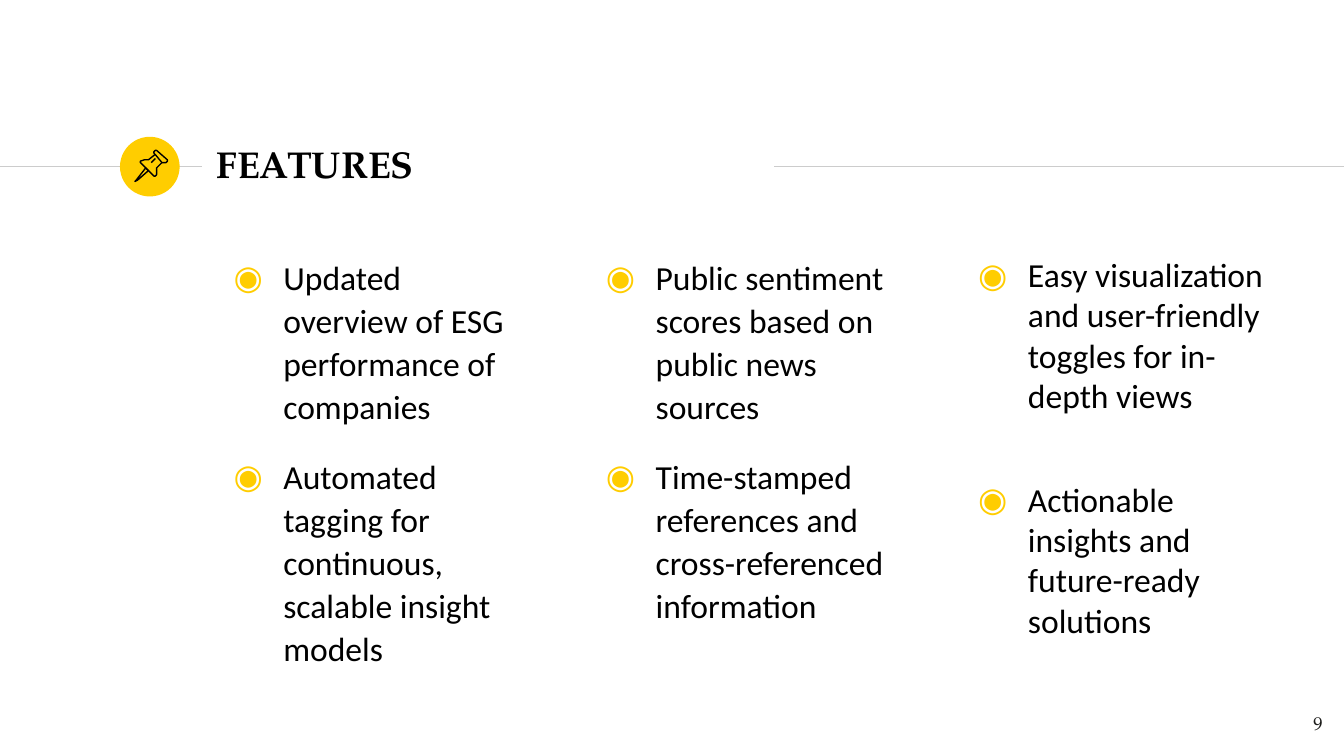
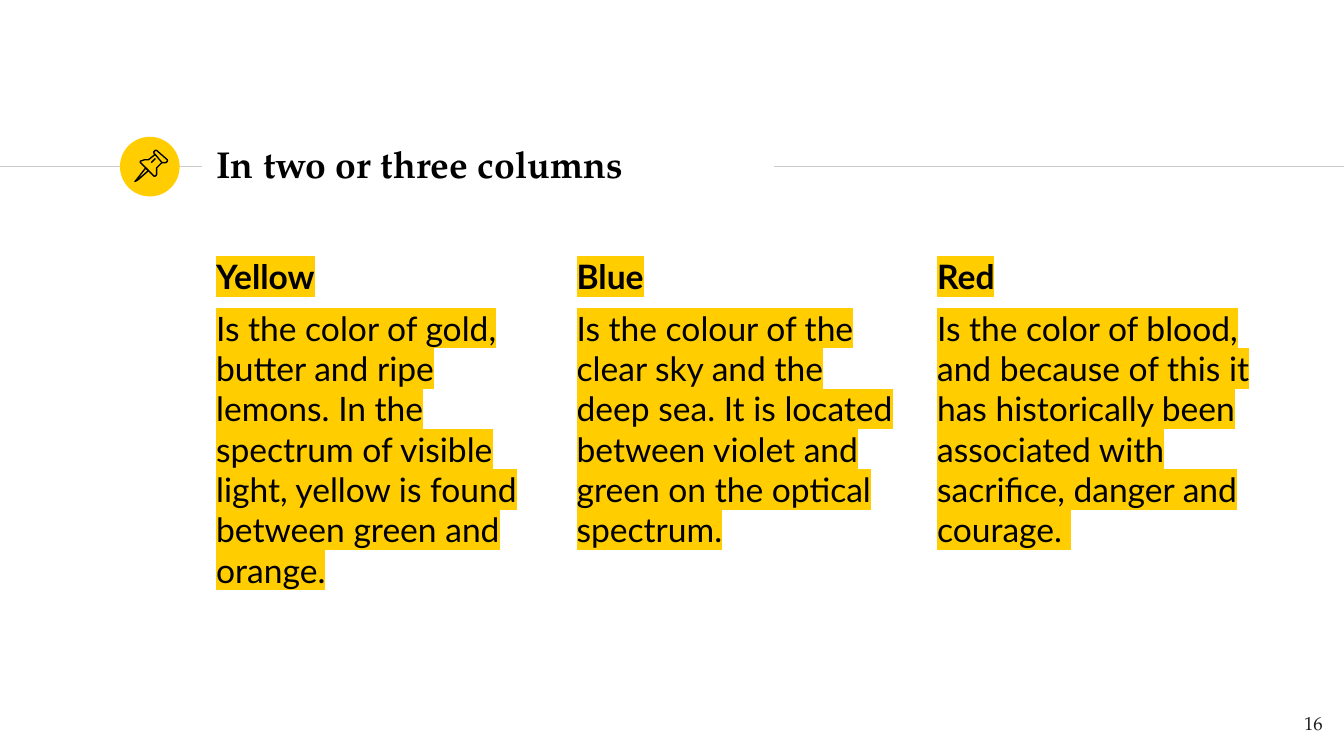
from dataclasses import dataclass

import lxml.etree
import pptx
import pptx.dml.color
import pptx.enum.shapes
import pptx.enum.text
import pptx.oxml.ns
import pptx.util

CELL = pptx.util.Inches(0.1)  # the slide is a grid of 100 columns by 56.25 rows
COLUMNS, ROWS = 100, 56.25
BADGE_UNITS = 44  # units across the badge, in which the pin is outlined


@dataclass(frozen=True)
class Theme:
    accent: str = "FFCD00"
    rule: str = "CCCCCC"
    ink: str = "000000"
    number_ink: str = "1D1D1B"
    heading_font: str = "TeX Gyre Pagella"
    bullet_font: str = "Calibri"
    column_font: str = "Lato"
    title_size: int = 20
    body_size: int = 18
    number_size: int = 10
    line_width: float = 0.75


@dataclass(frozen=True)
class Box:
    """A region in grid cells."""
    left: float
    top: float
    width: float
    height: float

    def emu(self):
        return [round(n * CELL) for n in (self.left, self.top, self.width, self.height)]

    def columns(self, count, step):
        return [Box(self.left + i * step, self.top, self.width, self.height)
                for i in range(count)]


THEME = Theme()
HEADER = Box(0, 9.8, COLUMNS, 4.8)
NUMBER = Box(93.4, 51.95, 6, 4.3)
FEATURES = Box(15.1, 17.9, 25.5, 34.1)
COLOURS = Box(15.1, 18.05, 25.5, 34.1)

# Each outline of the pin: its points, and whether it is closed
PIN = [
    ([(19, 23), (12, 32), (11, 33), (13, 32), (21, 25)], True),
    ([(26, 13), (31, 19), (34, 19), (35, 18), (35, 17), (27, 10), (26, 10),
      (25, 11), (25, 12)], True),
    ([(26, 13), (21, 17), (18, 17), (15, 18), (15, 19), (25, 29), (26, 29),
      (27, 28), (27, 23), (31, 19)], False),
    ([(23, 19), (26, 16)], False),
]

# Each column: its bullets, line spacing, space after, space between bullets
FEATURE_COLUMNS = [
    (["Updated overview of ESG performance of companies",
      "Automated tagging for continuous, scalable insight models"], 1.07, 8, 6),
    (["Public sentiment scores based on public news sources",
      "Time-stamped references and cross-referenced information"], 1.07, 8, 6),
    (["Easy visualization and user-friendly toggles for in-depth views",
      "Actionable insights and future-ready solutions"], 1.0, 0, 34),
]

COLOUR_COLUMNS = [
    ("Yellow", "Is the color of gold, butter and ripe lemons. In the spectrum of "
               "visible light, yellow is found between green and orange."),
    ("Blue", "Is the colour of the clear sky and the deep sea. It is located between "
             "violet and green on the optical spectrum."),
    ("Red", "Is the color of blood, and because of this it has historically been "
            "associated with sacrifice, danger and courage. "),
]


def rgb(value):
    return pptx.dml.color.RGBColor.from_string(value)


def add_colour_element(parent, tag, value):
    element = lxml.etree.SubElement(parent, pptx.oxml.ns.qn(tag))
    lxml.etree.SubElement(element, pptx.oxml.ns.qn("a:srgbClr"), val=value)
    return element


def add_run(paragraph, words, font, size, colour=THEME.ink, bold=False):
    run = paragraph.add_run()
    run.text = words
    run.font.name = font
    run.font.size = pptx.util.Pt(size)
    run.font.bold = bold
    run.font.color.rgb = rgb(colour)
    return run


def highlight(run, colour):
    properties = run.font._element
    mark = add_colour_element(properties, "a:highlight", colour)
    properties.find(pptx.oxml.ns.qn("a:latin")).addprevious(mark)


def set_bullet(paragraph):
    properties = paragraph._p.get_or_add_pPr()
    properties.set("marL", str(pptx.util.Inches(0.5)))
    properties.set("indent", str(pptx.util.Inches(-0.37)))
    add_colour_element(properties, "a:buClr", THEME.accent)
    lxml.etree.SubElement(properties, pptx.oxml.ns.qn("a:buFont"),
                          typeface=THEME.column_font)
    lxml.etree.SubElement(properties, pptx.oxml.ns.qn("a:buChar"), char="◉")


def set_frame(frame):
    frame.word_wrap = True
    frame.auto_size = pptx.enum.text.MSO_AUTO_SIZE.NONE
    frame.margin_left = frame.margin_right = CELL
    frame.margin_top = frame.margin_bottom = CELL
    return frame


def add_frame(slide, box):
    return set_frame(slide.shapes.add_textbox(*box.emu()).text_frame)


def next_paragraph(frame, index):
    return frame.add_paragraph() if index else frame.paragraphs[0]


def add_rule(slide, start, end, row):
    y = round(row * CELL)
    rule = slide.shapes.add_connector(
        pptx.enum.shapes.MSO_CONNECTOR.STRAIGHT,
        round(start * CELL), y, round(end * CELL), y)
    rule.line.color.rgb = rgb(THEME.rule)
    rule.line.width = pptx.util.Pt(THEME.line_width)
    lxml.etree.SubElement(rule._element.spPr, pptx.oxml.ns.qn("a:effectLst"))


def add_pin_badge(slide, box):
    left, top, width, height = box.emu()
    badge = slide.shapes.add_shape(
        pptx.enum.shapes.MSO_SHAPE.OVAL, left, top, width, height)
    badge.shadow.inherit = False
    badge.fill.solid()
    badge.fill.fore_color.rgb = rgb(THEME.accent)
    badge.line.fill.background()

    pin = slide.shapes.add_group_shape()
    for points, closed in PIN:
        builder = pin.shapes.build_freeform(*points[0], scale=width / BADGE_UNITS)
        builder.add_line_segments(points[1:], close=closed)
        outline = builder.convert_to_shape(left, top)
        outline.shadow.inherit = False
        outline.fill.background()
        outline.line.color.rgb = rgb(THEME.ink)
        outline.line.width = pptx.util.Pt(THEME.line_width)


def add_header(slide, box, words):
    """Place the rules, the pin badge and the title in the header band."""
    middle = box.top + 2.6
    title_left, title_width = box.left + 15.1, 42.4
    add_rule(slide, box.left, title_left - 0.1, middle)
    add_rule(slide, title_left + title_width + 0.1, box.left + box.width, middle)
    add_pin_badge(slide, Box(box.left + 8.93, middle - 2.22, 4.44, 4.44))

    title = slide.shapes.title
    title.left, title.top, title.width, title.height = Box(
        title_left, box.top, title_width, box.height).emu()
    frame = set_frame(title.text_frame)
    frame.vertical_anchor = pptx.enum.text.MSO_ANCHOR.MIDDLE
    paragraph = frame.paragraphs[0]
    paragraph.alignment = pptx.enum.text.PP_ALIGN.LEFT
    add_run(paragraph, words, THEME.heading_font, THEME.title_size, bold=True)


def add_number(slide, box, number):
    paragraph = add_frame(slide, box).paragraphs[0]
    paragraph.alignment = pptx.enum.text.PP_ALIGN.RIGHT
    add_run(paragraph, str(number), THEME.heading_font, THEME.number_size,
            THEME.number_ink)


def add_bullet_column(slide, box, bullets, line_spacing, after, between):
    frame = add_frame(slide, box)
    for index, words in enumerate(bullets):
        paragraph = next_paragraph(frame, index)
        paragraph.line_spacing = line_spacing
        paragraph.space_before = pptx.util.Pt(between if index else 6)
        paragraph.space_after = pptx.util.Pt(after)
        set_bullet(paragraph)
        add_run(paragraph, words, THEME.bullet_font, THEME.body_size)


def add_colour_column(slide, box, heading, description):
    frame = add_frame(slide, box)
    for index, words in enumerate((heading, description)):
        paragraph = next_paragraph(frame, index)
        paragraph.space_before = pptx.util.Pt(6)
        run = add_run(paragraph, words, THEME.column_font, THEME.body_size,
                      bold=index == 0)
        highlight(run, THEME.accent)


def add_titled_slide(deck, title, number):
    slide = deck.slides.add_slide(deck.slide_layouts.get_by_name("Title Only"))
    add_header(slide, HEADER, title)
    add_number(slide, NUMBER, number)
    return slide


def add_features_slide(deck):
    slide = add_titled_slide(deck, "FEATURES", 9)
    for box, column in zip(FEATURES.columns(3, 27.7), FEATURE_COLUMNS):
        add_bullet_column(slide, box, *column)


def add_colours_slide(deck):
    slide = add_titled_slide(deck, "In two or three columns", 16)
    for box, column in zip(COLOURS.columns(3, 26.82), COLOUR_COLUMNS):
        add_colour_column(slide, box, *column)


def main():
    deck = pptx.Presentation()
    deck.slide_width = COLUMNS * CELL
    deck.slide_height = round(ROWS * CELL)
    add_features_slide(deck)
    add_colours_slide(deck)
    deck.save("out.pptx")


if __name__ == "__main__":
    main()
